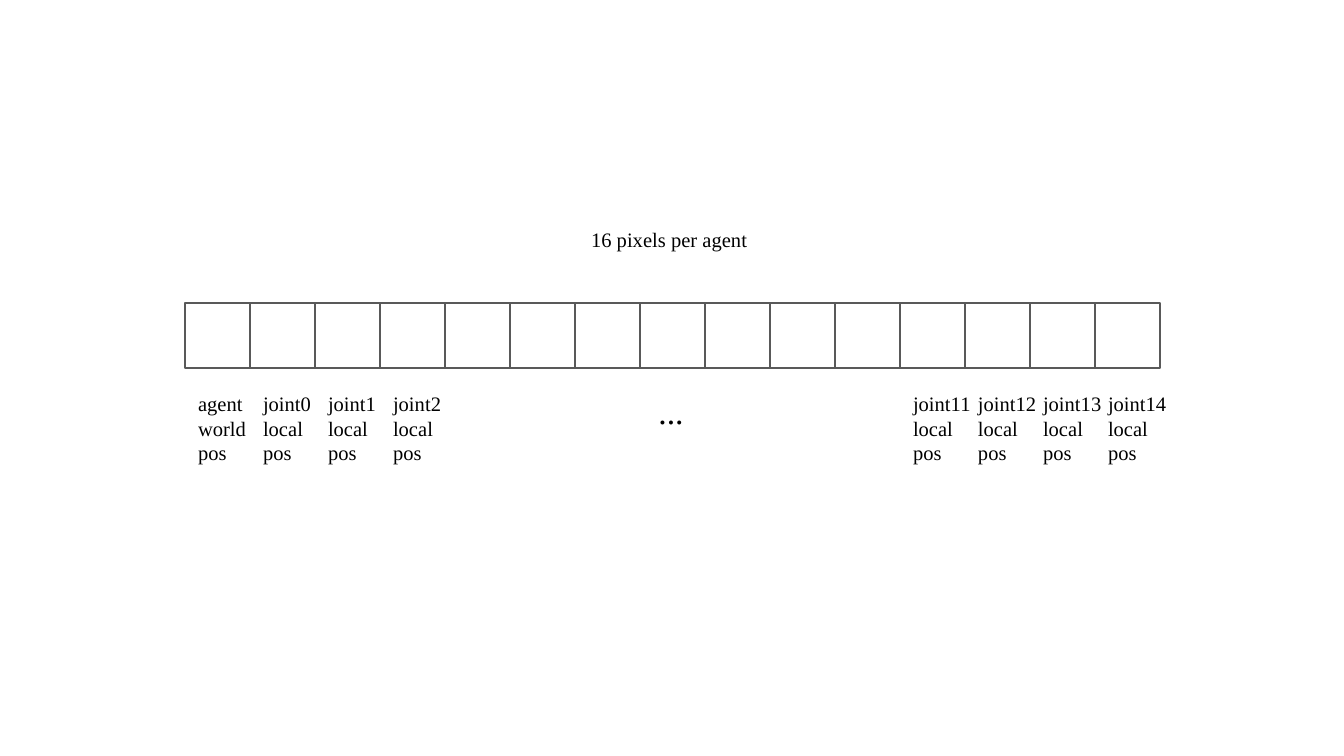
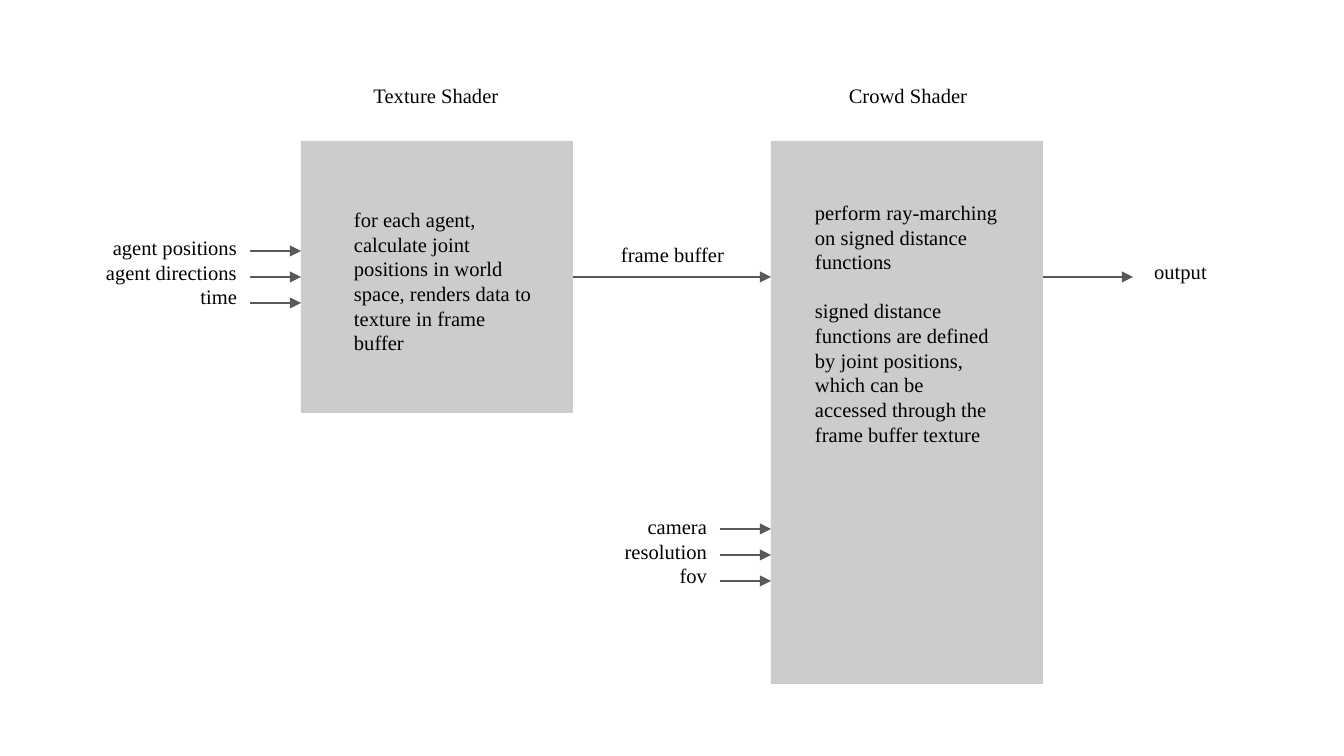
from dataclasses import dataclass

from lxml import etree
from pptx import Presentation
from pptx.dml.color import RGBColor as Rgb
from pptx.enum.shapes import MSO_CONNECTOR as Link, MSO_SHAPE as Preset
from pptx.enum.text import MSO_ANCHOR as Anchor, PP_ALIGN as Align
from pptx.oxml.ns import qn
from pptx.util import Pt

EMU_PER_PX = 914400 / 134.4
PAGE_WIDTH, PAGE_HEIGHT = 1344, 756
COLORS = {"ink": "000000", "line": "595959", "panel": "CCCCCC"}
FONT = "Times New Roman"
BODY_SIZE = 11
INSET = 13
LINE_WEIGHT = 0.75


@dataclass(frozen=True)
class Label:
    left: int
    top: int
    width: int
    height: int
    lines: tuple[str, ...]
    align: Align = Align.LEFT
    size: int = BODY_SIZE
    gap: int = 0  # points between paragraphs


@dataclass(frozen=True)
class Panel:
    left: int
    top: int
    width: int
    height: int
    fill: str | None = None
    line: str | None = None


@dataclass(frozen=True)
class Arrow:
    start: int
    end: int
    y: int


def px(length: int) -> int:
    return round(length * EMU_PER_PX)


def color(name: str) -> Rgb:
    return Rgb.from_string(COLORS[name])


def add_label(shapes, label: Label) -> None:
    box = shapes.add_textbox(px(label.left), px(label.top), px(label.width), px(label.height))
    frame = box.text_frame
    frame.word_wrap = True
    frame.vertical_anchor = Anchor.TOP
    frame.margin_left = frame.margin_right = px(INSET)
    frame.margin_top = frame.margin_bottom = px(INSET)
    for index, line in enumerate(label.lines):
        para = frame.add_paragraph() if index else frame.paragraphs[0]
        para.alignment = label.align
        if index and label.gap:
            para.space_before = Pt(label.gap)
        span = para.add_run()
        span.text = line
        span.font.name = FONT
        span.font.size = Pt(label.size)
        span.font.color.rgb = color("ink")


def add_panel(shapes, panel: Panel):
    box = shapes.add_shape(Preset.RECTANGLE, px(panel.left), px(panel.top),
                           px(panel.width), px(panel.height))
    box.shadow.inherit = False
    if panel.fill:
        box.fill.solid()
        box.fill.fore_color.rgb = color(panel.fill)
    else:
        box.fill.background()
    if panel.line:
        box.line.color.rgb = color(panel.line)
        box.line.width = Pt(LINE_WEIGHT)
    else:
        box.line.fill.background()
    return box


def add_arrow(shapes, arrow: Arrow):
    link = shapes.add_connector(Link.STRAIGHT, px(arrow.start), px(arrow.y),
                                px(arrow.end), px(arrow.y))
    link.line.color.rgb = color("line")
    link.line.width = Pt(LINE_WEIGHT)
    etree.SubElement(link.line._get_or_add_ln(), qn("a:tailEnd"), type="triangle")
    etree.SubElement(link._element.spPr, qn("a:effectLst"))
    return link


def draw_pixel_layout(shapes) -> None:
    # Row of pixels
    row_left, cell, count = 185, 65, 15
    for index in range(count):
        add_panel(shapes, Panel(row_left + index * cell, 303, cell, cell, line="line"))

    # Meaning of the first and last pixels
    joints = {pixel: f"joint{pixel - 1}" for pixel in (1, 2, 3, 12, 13, 14, 15)}
    columns = [(0, ("agent", "world", "pos"))]
    columns += [(pixel if pixel < 4 else pixel - 1, (name, "local", "pos"))
                for pixel, name in joints.items()]
    for column, lines in columns:
        add_label(shapes, Label(row_left + column * cell, 378, 90, 97, lines))

    # Heading and ellipsis
    add_label(shapes, Label(578, 215, 190, 70, ("16 pixels per agent",)))
    add_label(shapes, Label(626, 378, 90, 70, ("...",), Align.CENTER, size=18))


def draw_shader_flow(shapes) -> None:
    # Shader panels
    texture = Panel(301, 141, 272, 272, fill="panel")
    crowd = Panel(771, 141, 272, 543, fill="panel")
    texture_box = add_panel(shapes, texture)
    add_panel(shapes, crowd)
    flow_y = texture.top + texture.height // 2

    # Input arrows
    step, arrow_gap = 26, 51
    for panel, middle in ((texture, flow_y), (crowd, 555)):
        for offset in (-step, 0, step):
            link = add_arrow(shapes, Arrow(panel.left - arrow_gap, panel.left, middle + offset))
            if panel is texture and not offset:
                link.end_connect(texture_box, 1)

    # Frame buffer and output arrows
    buffer_link = add_arrow(shapes, Arrow(texture.left + texture.width, crowd.left, flow_y))
    buffer_link.begin_connect(texture_box, 3)
    add_arrow(shapes, Arrow(crowd.left + crowd.width, 1133, flow_y))

    # Wording
    labels = (
        Label(341, 71, 190, 70, ("Texture Shader",), Align.CENTER),
        Label(813, 71, 190, 70, ("Crowd Shader",), Align.CENTER),
        Label(77, 222, 173, 109, ("agent positions", "agent directions", "time"), Align.RIGHT),
        Label(547, 501, 173, 109, ("camera", "resolution", "fov"), Align.RIGHT),
        Label(586, 230, 173, 109, ("frame buffer",), Align.CENTER),
        Label(1094, 247, 173, 109, ("output",), Align.CENTER),
        Label(341, 194, 211, 165, (
            "for each agent, calculate joint positions in world space, "
            "renders data to texture in frame buffer",)),
        Label(802, 187, 211, 353, (
            "perform ray-marching on signed distance functions",
            "signed distance functions are defined by joint positions, "
            "which can be accessed through the frame buffer texture"), gap=13),
    )
    for label in labels:
        add_label(shapes, label)


def main() -> None:
    deck = Presentation()
    deck.slide_width, deck.slide_height = px(PAGE_WIDTH), px(PAGE_HEIGHT)
    blank = deck.slide_layouts[6]
    draw_pixel_layout(deck.slides.add_slide(blank).shapes)
    flow_page = deck.slides.add_slide(blank)
    draw_shader_flow(flow_page.shapes.add_group_shape().shapes)
    deck.save("out.pptx")


if __name__ == "__main__":
    main()
